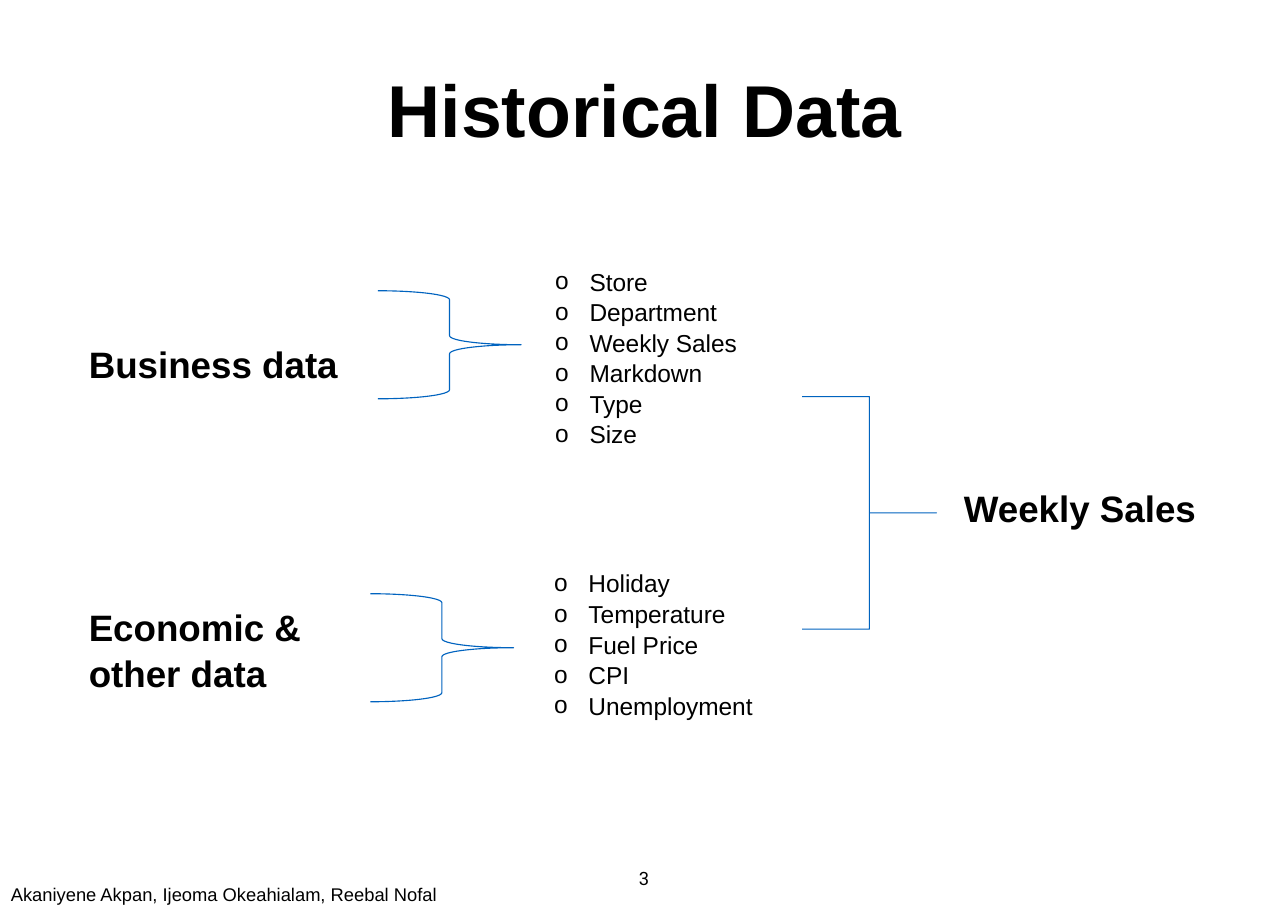
from lxml.etree import SubElement
from pptx import Presentation
from pptx.dml.color import RGBColor
from pptx.enum.shapes import MSO_SHAPE
from pptx.enum.text import MSO_ANCHOR, PP_ALIGN
from pptx.oxml.ns import qn
from pptx.util import Pt

BLACK, BLUE = "000000", "0063BF"
LEFT, MID = PP_ALIGN.LEFT, PP_ALIGN.CENTER

# lines, box (left, top, width, height), size, bold, alignment, font
TEXTS = [
    (["Historical Data"], (84.2, 49, 674.6, 41), 48, True, MID, "Arial"),
    (["3"], (410.4, 563.8, 20.9, 20.2), 12, False, MID, "Roboto"),
    (["Business data"], (50.9, 217, 190, 40), 24, True, LEFT, "Arial"),
    (["Economic &", "other data"], (50.9, 389, 190, 70), 24, True, LEFT, "Arial"),
    (["Akaniyene Akpan, Ijeoma Okeahialam, Reebal Nofal"],
     (0, 573, 310, 21.6), 12, False, LEFT, "Arial"),
    (["Weekly Sales"], (622.8, 313.2, 200.2, 36), 24, True, LEFT, "Arial"),
]
LISTS = [
    (["Store", "Department", "Weekly Sales", "Markdown", "Type", "Size"],
     (355.7, 170, 282, 158)),
    (["Holiday", "Temperature", "Fuel Price", "CPI", "Unemployment"],
     (355, 367.2, 196, 121)),
]
# box, curve of the brace (None keeps the preset)
BRACES = [
    ((247, 190, 93.6, 70.6), None),
    ((242, 388, 93.6, 70.6), None),
    ((524.2, 259.2, 87.8, 152), 0),
]


def color(code):
    return RGBColor.from_string(code)


def add_bullet(para):
    props = para._p.get_or_add_pPr()
    props.set("marL", str(Pt(22.5)))
    props.set("indent", str(Pt(-22.5)))
    tint = SubElement(props, qn("a:buClr"))
    SubElement(tint, qn("a:srgbClr")).set("val", BLACK)
    SubElement(props, qn("a:buFont")).set("typeface", "Arial")
    SubElement(props, qn("a:buChar")).set("char", "o")


def add_text(slide, lines, box, size, bold=False, align=LEFT, face="Arial",
             anchor=MSO_ANCHOR.MIDDLE, bullets=False):
    frame = slide.shapes.add_textbox(*map(Pt, box)).text_frame
    frame.word_wrap = True
    frame.vertical_anchor = anchor
    frame.text = "\n".join(lines)
    for para in frame.paragraphs:
        para.alignment = align
        para.line_spacing = 1.04
        if bullets:
            add_bullet(para)
        for run in para.runs:
            font = run.font
            font.name, font.size, font.bold = face, Pt(size), bold
            font.color.rgb = color(BLACK)


def add_brace(slide, box, curve):
    brace = slide.shapes.add_shape(MSO_SHAPE.RIGHT_BRACE, *map(Pt, box))
    brace.shadow.inherit = False
    brace.fill.background()
    brace.line.color.rgb = color(BLUE)
    brace.line.width = Pt(0.75)
    if curve is not None:
        brace.adjustments[0] = curve


def main():
    deck = Presentation()
    deck.slide_width, deck.slide_height = Pt(841.68), Pt(594.72)
    slide = deck.slides.add_slide(deck.slide_layouts[6])
    for item in TEXTS:
        add_text(slide, *item)
    for lines, box in LISTS:
        add_text(slide, lines, box, 16, anchor=MSO_ANCHOR.TOP, bullets=True)
    for box, curve in BRACES:
        add_brace(slide, box, curve)
    deck.save("out.pptx")


if __name__ == "__main__":
    main()
